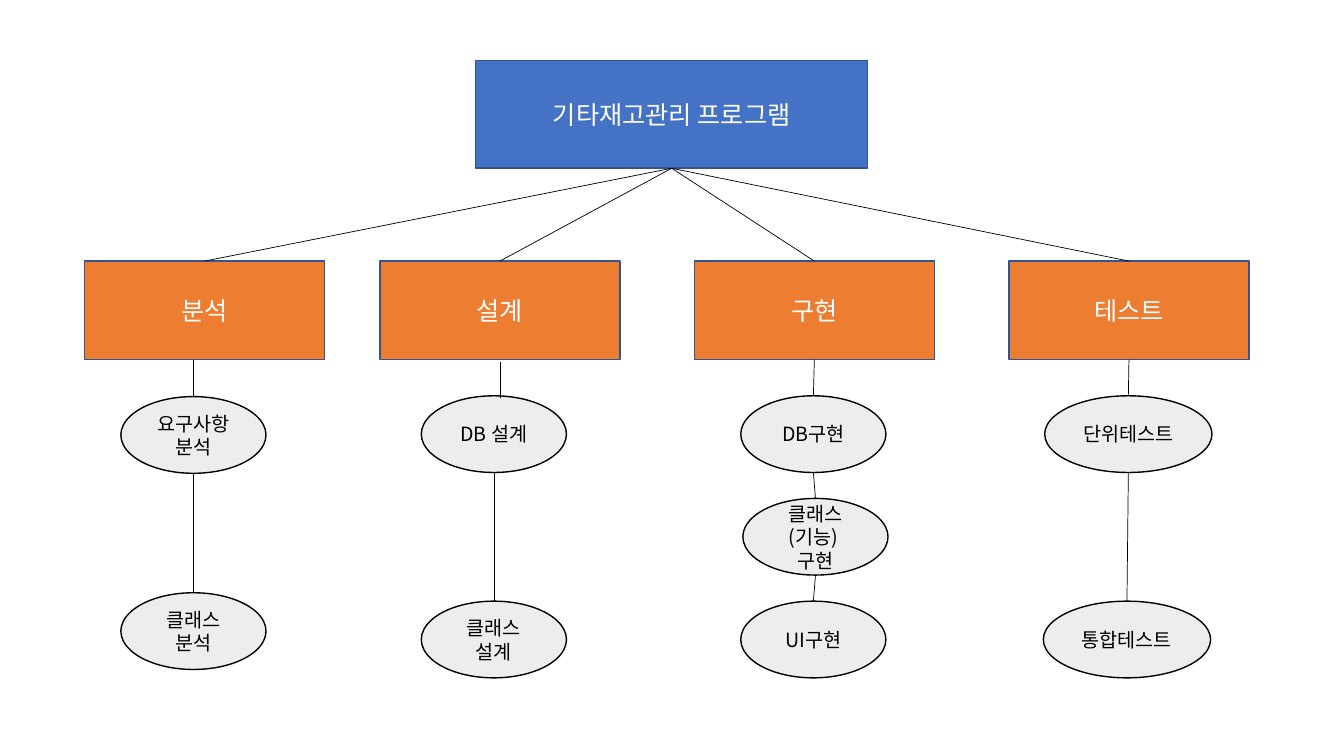
from lxml import etree
from pptx import Presentation
from pptx.dml.color import RGBColor
from pptx.enum import shapes, text
from pptx.oxml.ns import qn
from pptx.util import Pt

ROOT = ("기타재고관리 프로그램", 339.8, 43.2, 280, 77)

# Phase: name, left edge, stem (x, gap below the box), task width,
# tasks (name, centre x, top). A stem of None hangs from the box's middle.
PHASES = [
    ("분석", 60.5, (138.2, 0), 103.7,
     [("요구사항분석", 138.2, 283.3), ("클래스 분석", 138.2, 423.4)]),
    ("설계", 271.4, (357.1, 1.4), 103.7,
     [("DB 설계", 352.8, 282.7), ("클래스 설계", 352.8, 429.4)]),
    ("구현", 496, None, 103.7,
     [("DB구현", 581, 282.7), ("클래스 (기능) \n구현", 582.5, 356),
      ("UI구현", 581, 429.4)]),
    ("테스트", 720.7, None, 119.5,
     [("단위테스트", 806, 282.7), ("통합테스트", 805, 429.4)]),
]
PHASE_TOP, PHASE_WIDTH, PHASE_HEIGHT = 186.5, 171.4, 70.4
TASK_HEIGHT = 54.8
TOP, BOTTOM = 0, 2

BOX, OVAL = shapes.MSO_SHAPE.RECTANGLE, shapes.MSO_SHAPE.OVAL
THEME = {
    "font": "Noto Sans CJK KR",
    "link": "000000",
    "root": {"form": BOX, "fill": "4472C4", "line": "325491", "ink": "FFFFFF", "size": 18},
    "phase": {"form": BOX, "fill": "ED7D31", "line": "325491", "ink": "FFFFFF", "size": 18},
    "task": {"form": OVAL, "fill": "EDEDED", "line": "000000", "ink": "000000", "size": 14},
}


def add_node(slide, level, label, left, top, width, height):
    look = THEME[level]
    node = slide.shapes.add_shape(look["form"], Pt(left), Pt(top), Pt(width), Pt(height))
    node.shadow.inherit = False
    node.fill.solid()
    node.fill.fore_color.rgb = RGBColor.from_string(look["fill"])
    node.line.color.rgb = RGBColor.from_string(look["line"])
    node.line.width = Pt(1)
    frame = node.text_frame
    frame.word_wrap = True
    frame.vertical_anchor = text.MSO_ANCHOR.MIDDLE
    caption = frame.paragraphs[0]
    caption.text = label
    caption.alignment = text.PP_ALIGN.CENTER
    for run in caption.runs:
        for key, value in {"name": THEME["font"], "size": Pt(look["size"])}.items():
            setattr(run.font, key, value)
        run.font.color.rgb = RGBColor.from_string(look["ink"])
        east_asian = etree.SubElement(run.font._element, qn("a:ea"))
        east_asian.set("typeface", THEME["font"])
    return node


def add_link(slide, start, end):
    link = slide.shapes.add_connector(
        shapes.MSO_CONNECTOR.STRAIGHT, *(Pt(value) for value in start + end))
    link.line.color.rgb = RGBColor.from_string(THEME["link"])
    link.line.width = Pt(0.5)
    etree.SubElement(link._element.spPr, qn("a:effectLst"))
    return link


def add_phase(slide, root, name, left, stem, task_width, tasks):
    phase = add_node(slide, "phase", name, left, PHASE_TOP, PHASE_WIDTH, PHASE_HEIGHT)
    middle = left + PHASE_WIDTH / 2
    _, root_left, root_top, root_width, root_height = ROOT
    branch = add_link(slide, (root_left + root_width / 2, root_top + root_height),
                      (middle, PHASE_TOP))
    branch.begin_connect(root, BOTTOM)
    branch.end_connect(phase, TOP)

    stem_x, gap = stem or (middle, 0)
    above = (stem_x, PHASE_TOP + PHASE_HEIGHT + gap)
    for index, (task, centre, top) in enumerate(tasks):
        add_node(slide, "task", task, centre - task_width / 2, top, task_width, TASK_HEIGHT)
        if index == 0 and stem:
            below = (stem_x, top + gap)
        else:
            below = (centre, top)
        link = add_link(slide, above, below)
        if index == 0 and not stem:
            link.begin_connect(phase, BOTTOM)
        above = (centre, top + TASK_HEIGHT)


def main():
    deck = Presentation()
    deck.slide_width, deck.slide_height = Pt(960), Pt(540)
    slide = deck.slides.add_slide(deck.slide_layouts[6])
    root = add_node(slide, "root", *ROOT)
    for phase in PHASES:
        add_phase(slide, root, *phase)
    deck.save("out.pptx")


if __name__ == "__main__":
    main()
